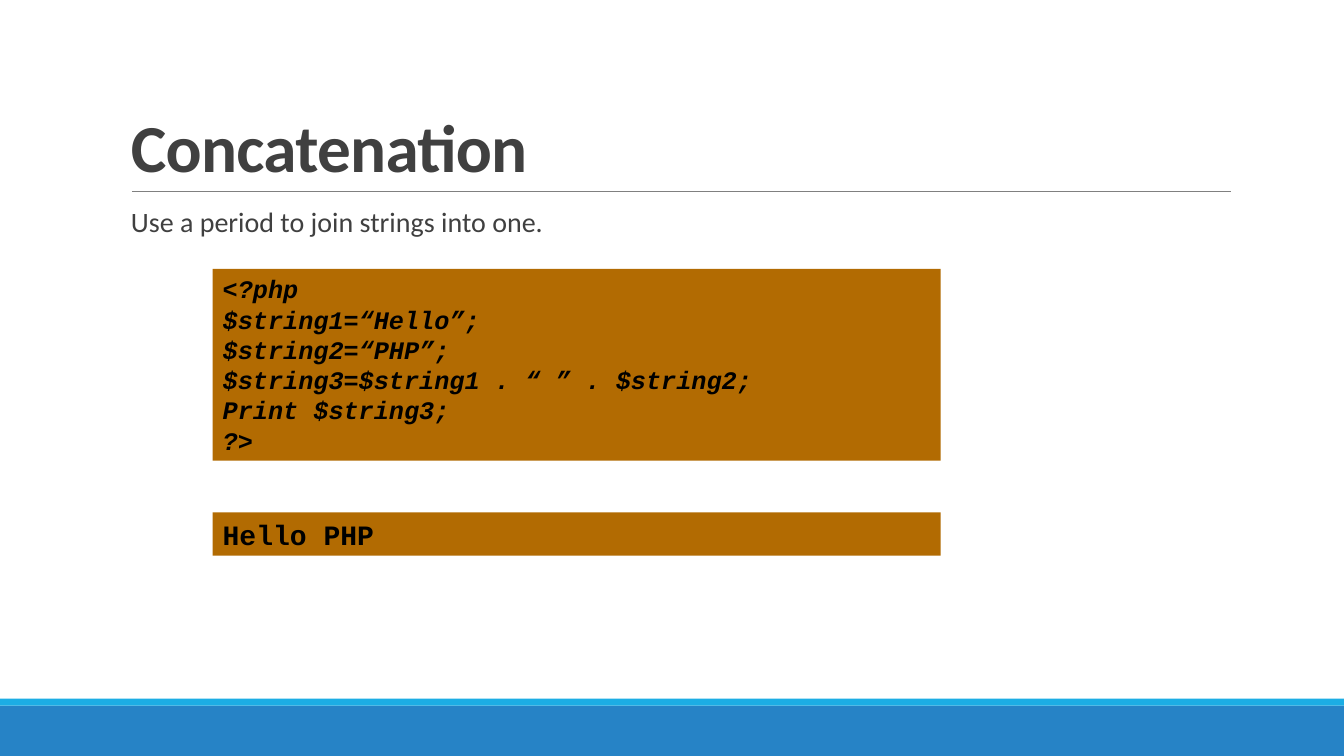
from pptx import Presentation, util as u
from pptx.dml.color import RGBColor
from pptx.enum import shapes, text
from pptx.oxml.ns import qn
from lxml import etree

COLORS = {"band": "2683C6", "accent": "1CADE4", "rule": "808080",
          "text": "404040", "code": "000000", "panel": "B26B02"}
CODE = ["<?php", "$string1=“Hello”;", "$string2=“PHP”;",
        "$string3=$string1 . “ ” . $string2;", "Print $string3;", "?> "]


def rgb(name):
    """Return the named colour."""
    return RGBColor.from_string(COLORS[name])


def add_rect(s, box, color):
    """Add a plain filled rectangle."""
    sp = s.shapes.add_shape(shapes.MSO_SHAPE.RECTANGLE, *map(u.Pt, box))
    sp.shadow.inherit = False
    sp.fill.solid()
    sp.fill.fore_color.rgb = rgb(color)
    sp.line.fill.background()
    return sp


def set_text(sp, lines, size, color, font="Calibri", bold=False, italic=False):
    """Fill a shape with left-aligned paragraphs and return its text frame."""
    tf = sp.text_frame
    tf.word_wrap = True
    tf.text = "\n".join(lines)
    for p in tf.paragraphs:
        p.alignment = text.PP_ALIGN.LEFT
        f = p.font
        f.name, f.size, f.bold, f.italic = font, u.Pt(size), bold, italic
        f.color.rgb = rgb(color)
    return tf


def add_footer(s, box):
    """Draw the bottom band with its thin accent strip on top."""
    x, y, w, h = box
    strip = 5
    add_rect(s, (x, y + strip, w, h - strip), "band")
    add_rect(s, (x, y, w, strip), "accent")


def add_title(s, box, title):
    """Place the title at the bottom of its box, above a thin rule."""
    x, y, w, h = box
    rule = s.shapes.add_connector(shapes.MSO_CONNECTOR.STRAIGHT, *map(
        u.Pt, (x + 7.9, y + h, x + w + 0.8, y + h)))
    rule.line.color.rgb = rgb("rule")
    rule.line.width = u.Pt(0.5)
    etree.SubElement(rule._element.spPr, qn("a:effectLst"))
    tf = set_text(s.shapes.add_textbox(*map(u.Pt, box)), [title], 48, "text", bold=True)
    tf.vertical_anchor = text.MSO_ANCHOR.BOTTOM
    p = tf.paragraphs[0]
    p.line_spacing = 0.85
    p.runs[0].font._element.set("spc", "-50")


def add_body(s, box, line):
    """Place the explanatory sentence."""
    tf = set_text(s.shapes.add_textbox(*map(u.Pt, box)), [line], 20, "text")
    tf.margin_left, tf.margin_right = u.Pt(7.2), 0
    p = tf.paragraphs[0]
    p.line_spacing, p.space_before, p.space_after = 0.9, u.Pt(12), u.Pt(2)


def add_panel(s, box, lines, size, italic=False):
    """Draw a filled panel of monospaced text."""
    tf = set_text(add_rect(s, box, "panel"), lines, size, "code",
                  "Courier New", bold=True, italic=italic)
    tf.vertical_anchor = text.MSO_ANCHOR.TOP


prs = Presentation()
prs.slide_width, prs.slide_height = u.Pt(960), u.Pt(540)
s = prs.slides.add_slide(prs.slide_layouts[6])
add_footer(s, (0, 499, 960, 41))
add_title(s, (86.4, 22.5, 792, 114.2), "Concatenation")
add_body(s, (86.4, 145.4, 792, 317), "Use a period to join strings into one.")
add_panel(s, (152, 192, 520, 137), CODE, 18, italic=True)
add_panel(s, (152, 366, 520, 31), ["Hello PHP"], 20)
prs.save("out.pptx")
